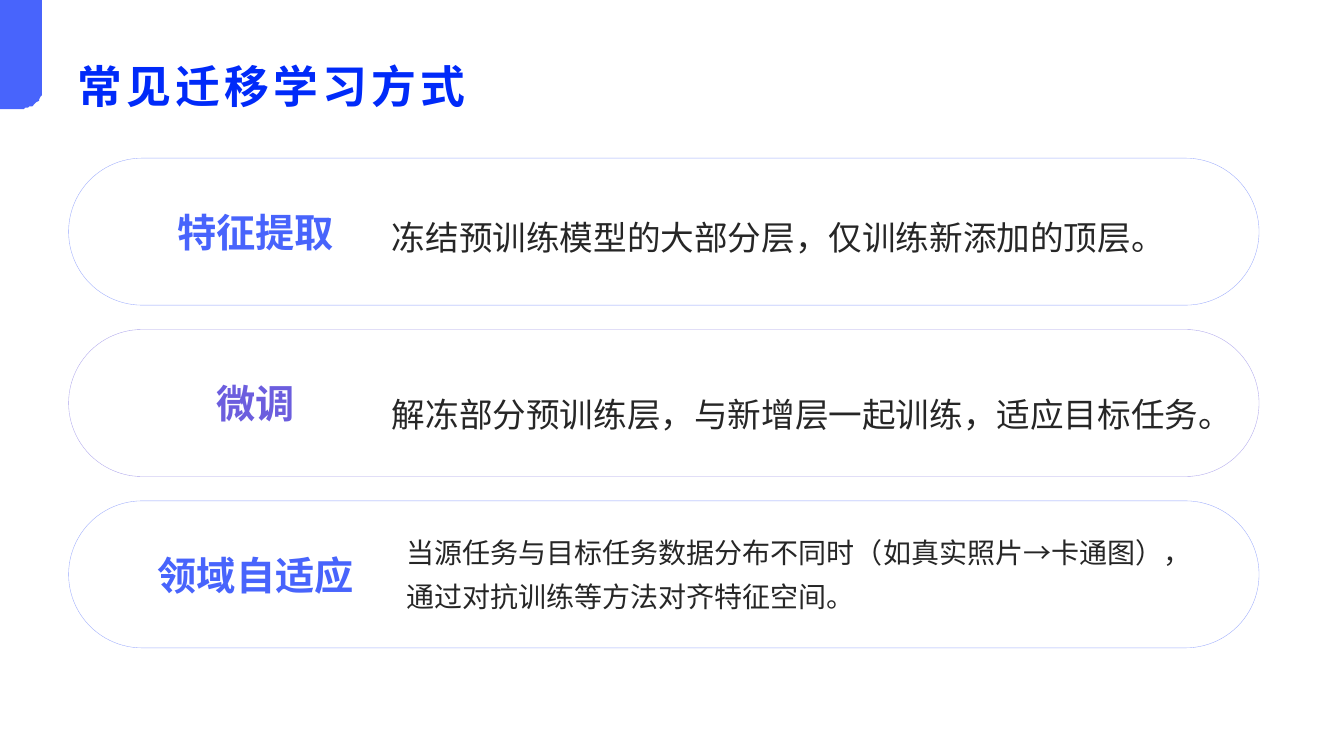
from math import cos, pi, sin

from lxml import etree
from pptx import Presentation
from pptx.dml.color import RGBColor
from pptx.enum.shapes import MSO_SHAPE
from pptx.enum.text import MSO_ANCHOR, MSO_AUTO_SIZE, PP_ALIGN
from pptx.oxml.ns import qn
from pptx.util import Pt

PILL = MSO_SHAPE.ROUNDED_RECTANGLE
MIDDLE, BOTTOM = MSO_ANCHOR.MIDDLE, MSO_ANCHOR.BOTTOM
LEFT, CENTER = PP_ALIGN.LEFT, PP_ALIGN.CENTER
NO_FIT = MSO_AUTO_SIZE.NONE

FONT = "Noto Sans CJK SC"
WHITE = RGBColor(0xFF, 0xFF, 0xFF)
INK = RGBColor(0x26, 0x26, 0x26)
TITLE = RGBColor(0x00, 0x2A, 0xF9)
BLUE = RGBColor(0x48, 0x64, 0xFC)
VIOLET = RGBColor(0x6C, 0x5E, 0xDE)
PALE_BLUE = RGBColor(0x91, 0xA2, 0xFD)
PALE_VIOLET = RGBColor(0xA7, 0x9E, 0xEB)

ROW_TOP, ROW_STEP, ROW_HIGH = 113, 122.4, 105

# Label, its colour, edge colour, text, text box (left, top, width), text size
ROWS = [
    ("特征提取", BLUE, PALE_BLUE,
     "冻结预训练模型的大部分层，仅训练新添加的顶层。", (280, 124.6, 560), 24),
    ("微调", VIOLET, PALE_VIOLET,
     "解冻部分预训练层，与新增层一起训练，适应目标任务。", (280, 250.6, 581), 24),
    ("领域自适应", BLUE, PALE_BLUE,
     "当源任务与目标任务数据分布不同时（如真实照片→卡通图），通过对抗训练等方法对齐特征空间。",
     (290.2, 365.8, 570.2), 20),
]


def add_run(par, text, size, color, bold=False):
    run = par.add_run()
    run.text = text
    font = run.font
    font.size, font.bold, font.name = Pt(size), bold, FONT
    font.color.rgb = color
    props = run._r.get_or_add_rPr()
    etree.SubElement(props, qn("a:ea")).set("typeface", FONT)
    return props


def add_text(slide, box, text, size, color, align=LEFT, bold=False, space=None):
    frame = slide.shapes.add_textbox(*map(Pt, box)).text_frame
    frame.word_wrap = True
    frame.vertical_anchor = MIDDLE
    frame.margin_left = frame.margin_right = 0
    frame.margin_top = frame.margin_bottom = 0
    par = frame.paragraphs[0]
    par.alignment = align
    par.line_spacing = space
    add_run(par, text, size, color, bold)


def add_pill(slide, top, edge=None, alpha=None):
    pill = slide.shapes.add_shape(PILL, Pt(49), Pt(top), Pt(850.3), Pt(ROW_HIGH))
    pill.adjustments[0] = 0.5
    pill.shadow.inherit = False
    pill.fill.solid()
    pill.fill.fore_color.rgb = WHITE
    if alpha is not None:
        tint = pill._element.spPr.find(qn("a:solidFill"))[0]
        etree.SubElement(tint, qn("a:alpha")).set("val", str(alpha * 1000))
    if edge is None:
        pill.line.fill.background()
    else:
        pill.line.color.rgb = edge
        pill.line.width = Pt(0.25)


def add_tab(slide):
    wide, high, side, drop, steps = 30.4, 78, 17.2, 13.8, 16
    turns = [pi / 2 * i / steps for i in range(steps + 1)]
    curve = [(wide - side + side * sin(t), high - drop + drop * cos(t))
             for t in turns]
    path = slide.shapes.build_freeform(0, 0, scale=Pt(1))
    path.add_line_segments([(0, high), *curve, (wide, 0)], close=True)
    tab = path.convert_to_shape()
    tab.shadow.inherit = False
    tab.fill.solid()
    tab.fill.fore_color.rgb = BLUE
    tab.line.fill.background()


def set_title(slide, text):
    title = slide.shapes.title
    title.left, title.top = Pt(48.2), Pt(31)
    title.width, title.height = Pt(864), Pt(53.3)
    frame = title.text_frame
    frame.auto_size = NO_FIT
    frame.vertical_anchor = BOTTOM
    par = frame.paragraphs[0]
    par.alignment = LEFT
    add_run(par, text, 32, TITLE, True).set("spc", "300")


def main():
    deck = Presentation()
    deck.slide_width, deck.slide_height = Pt(960), Pt(540)
    slide = deck.slides.add_slide(deck.slide_layouts[5])

    # Corner tab and title
    add_tab(slide)
    set_title(slide, "常见迁移学习方式")

    # One pill with a sheer cover, a label and a text for each method
    for i, (label, color, edge, text, place, size) in enumerate(ROWS):
        top = ROW_TOP + i * ROW_STEP
        add_pill(slide, top, edge)
        add_pill(slide, top, alpha=20)
        add_text(slide, (95.8, top + 8, 173.5, 89), label, 28, color, CENTER, True)
        add_text(slide, (*place, 81.4), text, size, INK, space=1.3)

    deck.save("out.pptx")


if __name__ == "__main__":
    main()
